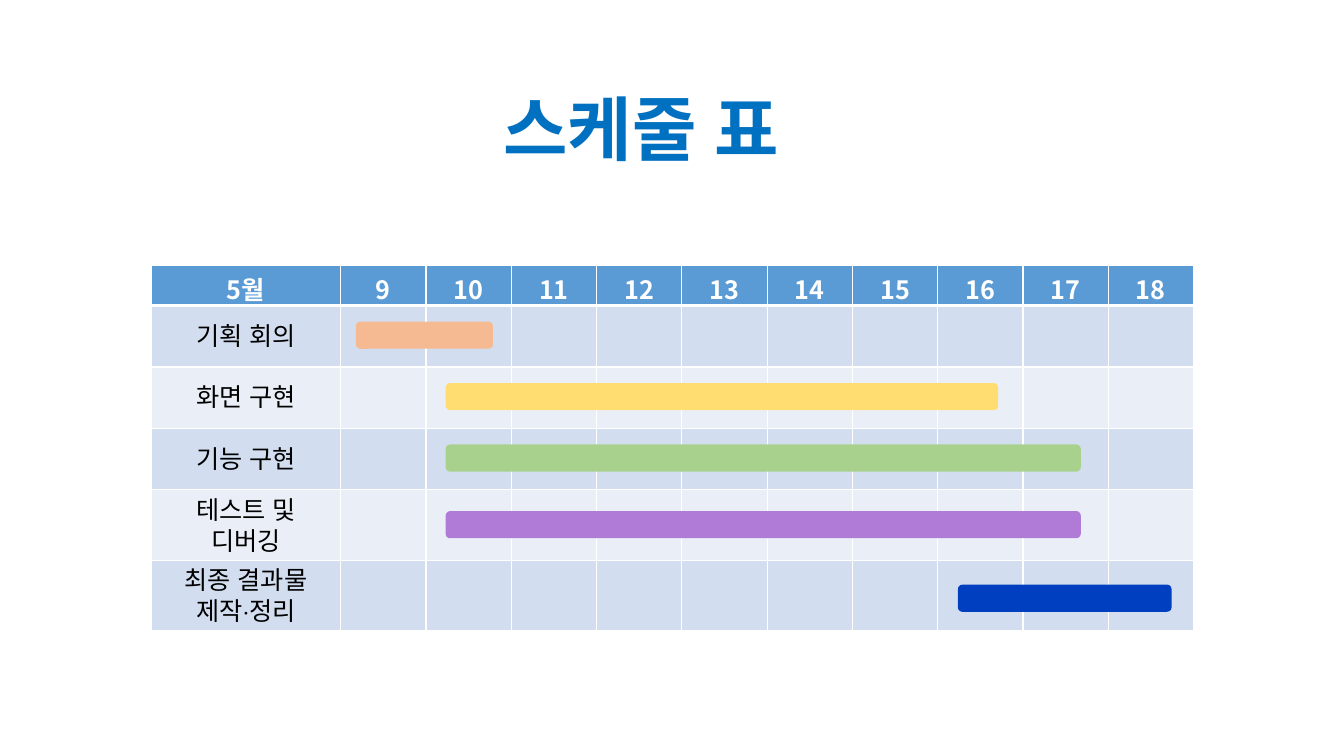
from lxml.etree import SubElement
from pptx import Presentation
from pptx.dml.color import RGBColor
from pptx.enum.shapes import MSO_SHAPE as Shape
from pptx.enum.text import MSO_ANCHOR as Anchor, MSO_AUTO_SIZE as AutoSize, PP_ALIGN as Align
from pptx.oxml.ns import qn
from pptx.util import Inches, Pt

WHITE = RGBColor(0xFF, 0xFF, 0xFF)
BLACK = RGBColor(0x00, 0x00, 0x00)
TITLE_BLUE = RGBColor(0x00, 0x70, 0xC0)
HEADER_BLUE = RGBColor(0x5B, 0x9B, 0xD5)
BANDS = (RGBColor(0xD2, 0xDE, 0xEF), RGBColor(0xEA, 0xEF, 0xF7))
PEACH = RGBColor(0xF6, 0xBA, 0x92)
YELLOW = RGBColor(0xFF, 0xDD, 0x71)
GREEN = RGBColor(0xA9, 0xD1, 0x8E)
PURPLE = RGBColor(0xB0, 0x7B, 0xD7)
NAVY = RGBColor(0x00, 0x40, 0xC0)

DAYS = range(9, 19)
TASKS = [["기획 회의"], ["화면 구현"], ["기능 구현"],
         ["테스트 및", "디버깅"], ["최종 결과물", "제작·정리"]]
ROW_HEIGHTS = (0.37, 0.61, 0.61, 0.61, 0.65, 0.65)
TABLE_WIDTH, TASK_WIDTH = 10.34, 1.88
# left, top, width, colour of each period
PERIODS = [(3.53, 3.19, 1.36, PEACH), (4.42, 3.8, 5.48, YELLOW),
           (4.42, 4.41, 6.3, GREEN), (4.42, 5.07, 6.3, PURPLE),
           (9.5, 5.8, 2.12, NAVY)]


class ScheduleSlide:
    title_font = "Noto Sans"
    header_font = "Noto Sans CJK KR"
    task_font = "Montserrat"

    def __init__(self, deck):
        self.slide = deck.slides.add_slide(deck.slide_layouts[5])

    def add_run(self, paragraph, text, size, face, color, bold):
        run = paragraph.add_run()
        run.text = text
        font = run.font
        font.size, font.name, font.bold = Pt(size), face, bold
        font.color.rgb = color
        SubElement(font._element, qn("a:ea"), typeface=face)

    def add_title(self, text):
        title = self.slide.shapes.title
        title.left, title.top = Inches(4.89), Inches(0.8)
        title.width, title.height = Inches(3.24), Inches(0.94)
        frame = title.text_frame
        frame.word_wrap = False
        frame.auto_size = AutoSize.SHAPE_TO_FIT_TEXT
        frame.vertical_anchor = Anchor.TOP
        frame.paragraphs[0].alignment = Align.LEFT
        self.add_run(frame.paragraphs[0], text, 50, self.title_font, TITLE_BLUE, True)

    def style_cell(self, cell, fill, top=1, bottom=1):
        properties = cell._tc.get_or_add_tcPr()
        for side, width in (("L", 1), ("R", 1), ("T", top), ("B", bottom)):
            border = SubElement(properties, qn(f"a:ln{side}"), w=str(Pt(width)))
            paint = SubElement(border, qn("a:solidFill"))
            SubElement(paint, qn("a:srgbClr"), val=str(WHITE))
        cell.fill.solid()
        cell.fill.fore_color.rgb = fill
        cell.vertical_anchor = Anchor.MIDDLE

    def write_cell(self, cell, lines, face, color, bold):
        frame = cell.text_frame
        for index, line in enumerate(lines):
            paragraph = frame.add_paragraph() if index else frame.paragraphs[0]
            paragraph.alignment = Align.CENTER
            self.add_run(paragraph, line, 18, face, color, bold)

    def add_schedule(self, header, tasks):
        schedule = self.slide.shapes.add_table(
            len(tasks) + 1, len(header), Inches(1.5), Inches(2.63),
            Inches(TABLE_WIDTH), Inches(sum(ROW_HEIGHTS))).table
        day_width = (TABLE_WIDTH - TASK_WIDTH) / (len(header) - 1)
        for index, column in enumerate(schedule.columns):
            column.width = Inches(day_width if index else TASK_WIDTH)
        for row, height in zip(schedule.rows, ROW_HEIGHTS):
            row.height = Inches(height)

        # Header row
        for index, label in enumerate(header):
            cell = schedule.cell(0, index)
            self.style_cell(cell, HEADER_BLUE, bottom=3)
            self.write_cell(cell, [label], self.header_font, WHITE, True)

        # Task rows
        for number, lines in enumerate(tasks, 1):
            for cell in schedule.rows[number].cells:
                self.style_cell(cell, BANDS[(number - 1) % 2], top=3 if number == 1 else 1)
            self.write_cell(schedule.cell(number, 0), lines, self.task_font, BLACK, False)

    def add_period(self, left, top, width, color):
        period = self.slide.shapes.add_shape(
            Shape.ROUNDED_RECTANGLE, Inches(left), Inches(top), Inches(width), Inches(0.27))
        period.shadow.inherit = False
        period.fill.solid()
        period.fill.fore_color.rgb = color
        period.line.fill.background()


def main():
    deck = Presentation()
    deck.slide_width, deck.slide_height = Inches(13.33), Inches(7.5)
    page = ScheduleSlide(deck)

    # Title
    page.add_title("스케줄 표")

    # Calendar and task periods
    page.add_schedule(["5월", *map(str, DAYS)], TASKS)
    for period in PERIODS:
        page.add_period(*period)

    deck.save("out.pptx")


if __name__ == "__main__":
    main()
